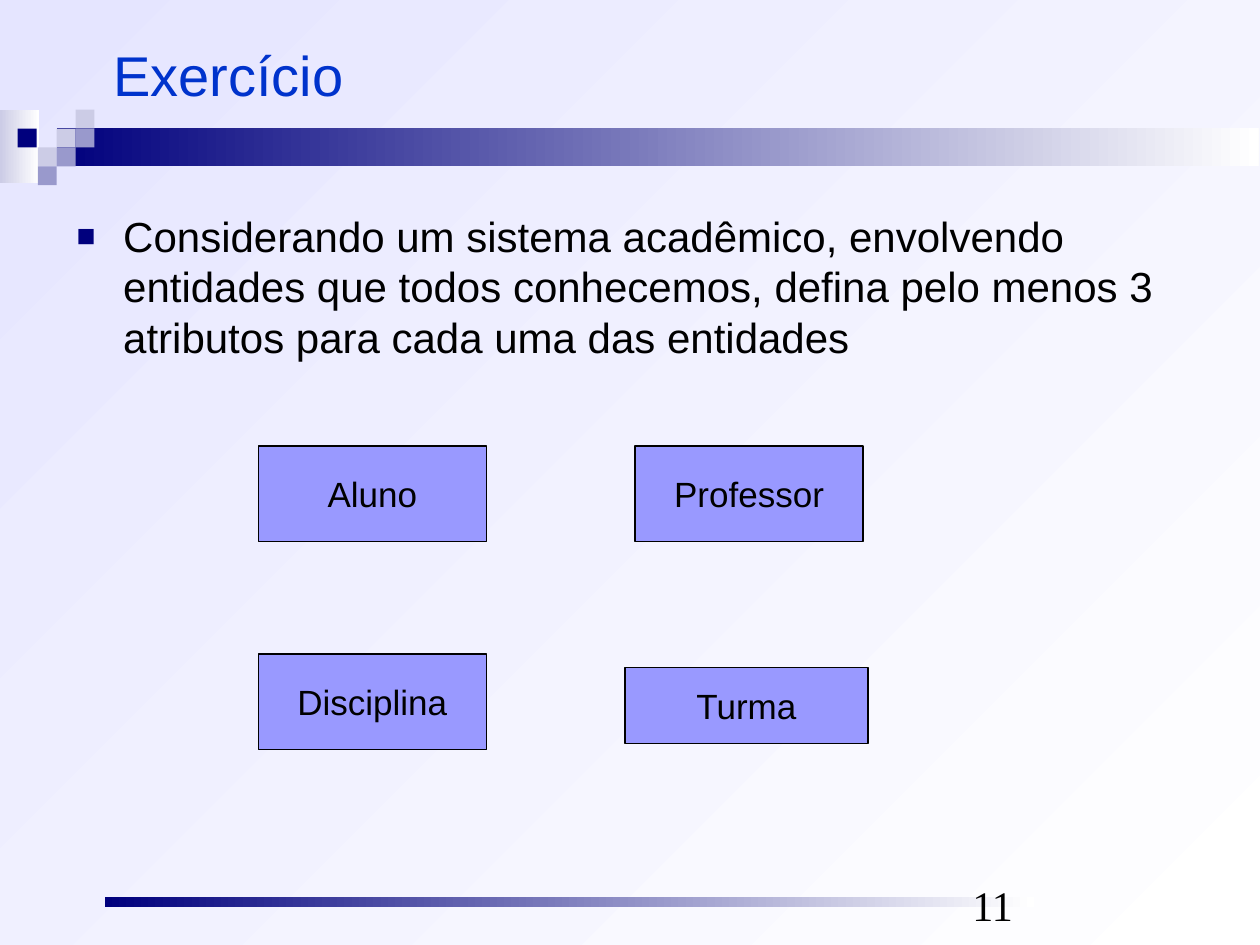
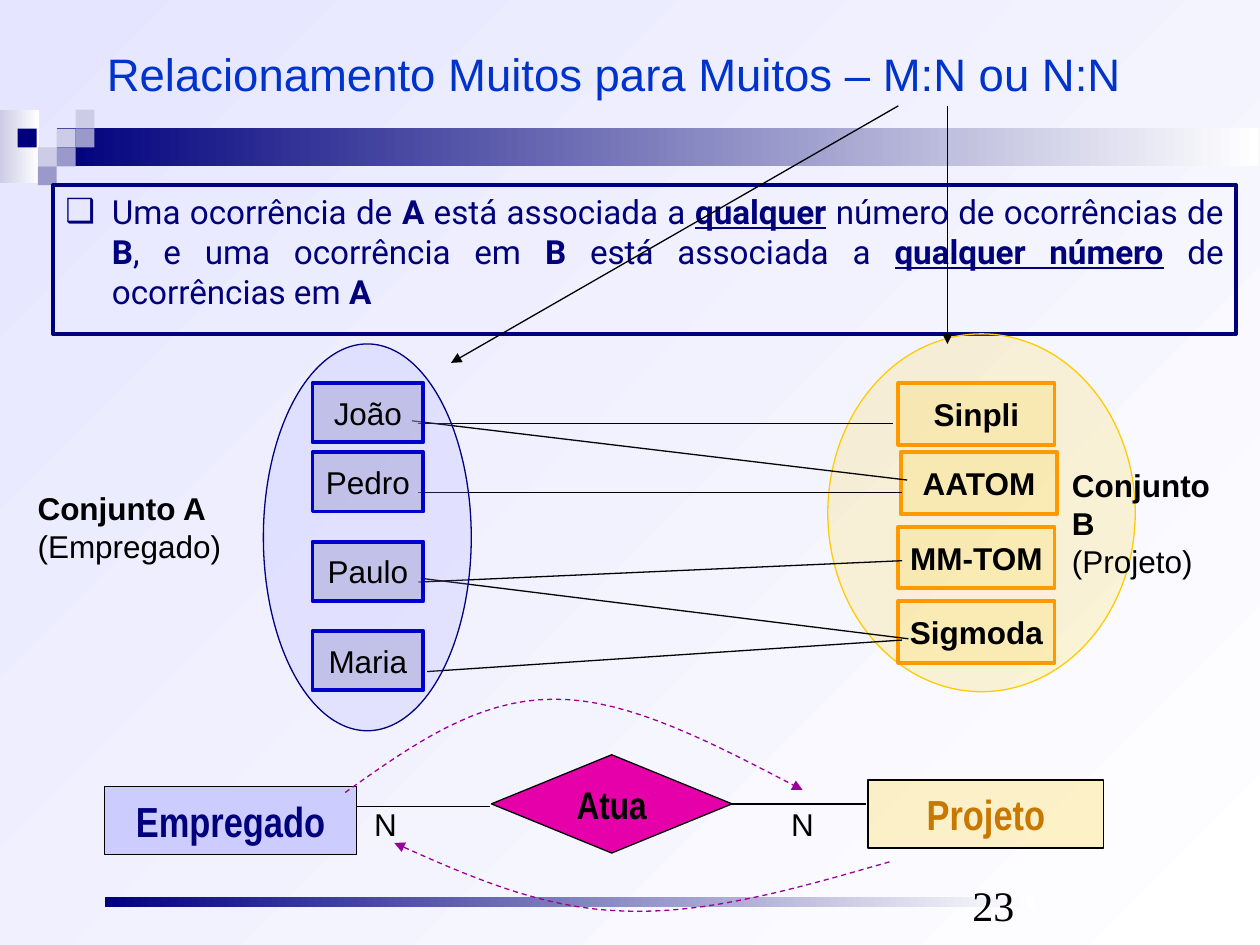
from lxml.etree import SubElement
from pptx import Presentation
from pptx.dml.color import RGBColor
from pptx.enum.dml import MSO_LINE
from pptx.enum.shapes import MSO_CONNECTOR, MSO_SHAPE
from pptx.enum.text import MSO_ANCHOR, PP_ALIGN
from pptx.oxml.ns import qn
from pptx.util import Pt

PX = 9144
C = {
    "black": "000000", "white": "FFFFFF", "sky": "E5E5FF", "navy": "00007D",
    "pale": "CCCCE6", "mid": "9999CC", "title": "0033CC", "entity": "9999FF",
    "blue": "0000CC", "lilac": "CCCCFF", "gold": "FFCC00", "orange": "FF9900",
    "brown": "C87700", "pink": "E600AA", "purple": "990099",
}
RGB = {name: RGBColor.from_string(value) for name, value in C.items()}
RECT, OVAL = MSO_SHAPE.RECTANGLE, MSO_SHAPE.OVAL
DIAMOND = MSO_SHAPE.FLOWCHART_DECISION


def add_box(s, kind, at, paras=(), fill=None, alpha=None, line=None, width=0.75,
            size=18, font="Arial", color="black", align=PP_ALIGN.CENTER,
            anchor=MSO_ANCHOR.MIDDLE, wrap=False):
    at = [v * PX for v in at]
    sp = s.shapes.add_shape(kind, *at) if kind else s.shapes.add_textbox(*at)
    if kind:
        sp.shadow.inherit = False
    if isinstance(fill, tuple):
        sp.fill.gradient()
        sp.fill.gradient_angle = 0
        for stop, name in zip(sp.fill.gradient_stops, fill):
            stop.color.rgb = RGB[name]
    elif fill:
        sp.fill.solid()
        sp.fill.fore_color.rgb = RGB[fill]
        if alpha:
            clr = sp._element.spPr.find(qn("a:solidFill"))[0]
            SubElement(clr, qn("a:alpha"), val=str(alpha * 1000))
    else:
        sp.fill.background()
    if line:
        sp.line.color.rgb = RGB[line]
        sp.line.width = Pt(width)
    else:
        sp.line.fill.background()
    tf = sp.text_frame
    tf.word_wrap = wrap
    tf.vertical_anchor = anchor
    for i, runs in enumerate(paras):
        p = tf.add_paragraph() if i else tf.paragraphs[0]
        p.alignment = align
        for text, style in runs:
            r = p.add_run()
            r.text = text
            r.font.name = font
            r.font.size = Pt(size)
            r.font.color.rgb = RGB[color]
            r.font.bold = "b" in style
            r.font.underline = "u" in style
    return sp


def add_line(s, x1, y1, x2, y2, arrow=False):
    ends = [v * PX for v in (x1, y1, x2, y2)]
    cn = s.shapes.add_connector(MSO_CONNECTOR.STRAIGHT, *ends)
    cn.line.color.rgb = RGB["black"]
    cn.line.width = Pt(0.75)
    if arrow:
        SubElement(cn.line._get_or_add_ln(), qn("a:tailEnd"), type="triangle")
    SubElement(cn._element.spPr, qn("a:effectLst"))


prs = Presentation()
prs.slide_width, prs.slide_height = 1000 * PX, 750 * PX

slides = []
for title, left, size, number in [
    ("Exercício", 80, 32, "11"),
    ("Relacionamento Muitos para Muitos – M:N ou N:N", 75, 26, "23"),
]:
    s = prs.slides.add_slide(prs.slide_layouts[6])
    bg = s.background.fill
    bg.gradient()
    bg.gradient_angle = 315
    for stop, name in zip(bg.gradient_stops, ("sky", "white")):
        stop.color.rgb = RGB[name]
    add_box(s, RECT, (0, 87, 31, 58), fill=("pale", "white"))
    add_box(s, RECT, (45, 102, 954, 30), fill=("navy", "white"))
    for x, y, name in [
        (45, 102, "pale"), (60, 87, "pale"), (60, 102, "mid"), (30, 117, "pale"),
        (14, 102, "navy"), (45, 117, "mid"), (30, 132, "mid"),
    ]:
        add_box(s, RECT, (x, y, 15, 15), fill=name)
    add_box(s, RECT, (83, 712, 738, 8), fill=("navy", "white"))
    add_box(s, None, (left, 13, 900, 91), [[(title, "")]], size=size,
            color="title", align=PP_ALIGN.LEFT, wrap=True)
    add_box(s, None, (762, 693, 233, 50), [[(number, "")]], size=24,
            font="Times New Roman", align=PP_ALIGN.LEFT,
            anchor=MSO_ANCHOR.BOTTOM, wrap=True)
    slides.append(s)
exercise, relation = slides

task = add_box(
    exercise, None, (51, 162, 900, 504),
    [[("Considerando um sistema acadêmico, envolvendo entidades que todos "
       "conhecemos, defina pelo menos 3 atributos para cada uma das entidades", "")]],
    size=24, align=PP_ALIGN.LEFT, anchor=MSO_ANCHOR.TOP, wrap=True)
for name, at in [
    ("Aluno", (205, 354, 181, 76)), ("Disciplina", (205, 519, 181, 76)),
    ("Professor", (504, 354, 181, 76)), ("Turma", (496, 530, 193, 60)),
]:
    add_box(exercise, RECT, at, [[(name, "")]], fill="entity", line="black", size=20)

definition = add_box(
    relation, RECT, (42, 147, 939, 118),
    [[("Uma ocorrência de ", ""), ("A", "b"), (" está associada a ", ""),
      ("qualquer", "bu"), (" número de ocorrências de ", ""), ("B", "b"),
      (", e uma ocorrência em ", ""), ("B", "b"), (" está associada a ", ""),
      ("qualquer número", "bu"), (" de ocorrências em ", ""), ("A", "b")]],
    line="navy", width=2.25, size=19, font="Roboto", color="navy",
    align=PP_ALIGN.JUSTIFY, anchor=MSO_ANCHOR.TOP, wrap=True)

for sp, char, percent in [(task, "■", 75), (definition, "❑", 100)]:
    pPr = sp.text_frame.paragraphs[0]._p.get_or_add_pPr()
    pPr.set("marL", str(37 * PX))
    pPr.set("indent", str(-37 * PX))
    SubElement(SubElement(pPr, qn("a:buClr")), qn("a:srgbClr"), val=C["navy"])
    SubElement(pPr, qn("a:buSzPct"), val=str(percent * 1000))
    SubElement(pPr, qn("a:buFont"), typeface="Arial")
    SubElement(pPr, qn("a:buChar"), char=char)

add_box(relation, OVAL, (657, 265, 244, 284), fill="gold", alpha=16, line="gold")
for name, x, y in [("Sinpli", 713, 304), ("AATOM", 715, 359),
                   ("MM-TOM", 713, 418), ("Sigmoda", 713, 477)]:
    add_box(relation, RECT, (x, y, 124, 49), [[(name, "b")]],
            fill="gold", alpha=16, line="orange", width=2.25)
for ends in [
    (332, 336, 709, 336), (327, 334, 720, 381), (332, 391, 716, 391),
    (332, 462, 716, 445), (334, 459, 721, 507), (339, 533, 716, 508),
    (281, 640, 389, 640), (578, 638, 687, 638),
]:
    add_line(relation, *ends)
for ends in [(713, 84, 358, 288), (752, 84, 752, 273)]:
    add_line(relation, *ends, arrow=True)

add_box(relation, OVAL, (209, 273, 165, 307), fill="entity", alpha=17, line="navy")
for name, y in [("João", 304), ("Pedro", 359), ("Paulo", 430), ("Maria", 501)]:
    add_box(relation, RECT, (248, y, 88, 47), [[(name, "")]],
            fill="mid", alpha=43, line="blue", width=2.25)

for at, paras in [
    ((20, 383, 166, 70), [[("Conjunto A", "b")], [("(Empregado)", "")]]),
    ((841, 365, 154, 70), [[("Conjunto B", "b")], [("(Projeto)", "")]]),
    ((287, 634, 38, 40), [[("N", "")]]),
    ((618, 634, 38, 40), [[("N", "")]]),
]:
    add_box(relation, None, at, paras, align=PP_ALIGN.LEFT, anchor=MSO_ANCHOR.TOP)

for kind, at, name, fill, alpha, color, size in [
    (RECT, (83, 624, 200, 54), "Empregado", "lilac", None, "navy", 24),
    (RECT, (689, 619, 187, 54), "Projeto", "gold", 22, "brown", 24),
    (DIAMOND, (390, 599, 191, 78), "Atua", "pink", None, "black", 22),
]:
    add_box(relation, kind, at, [[(name, "b")]], fill=fill, alpha=alpha,
            line="black", size=size, font="Arial Narrow", color=color)

STEPS = 16
for curve in [
    [(274, 629), (326, 592), (378, 555), (439, 555), (499, 554), (568, 591), (637, 627)],
    [(706, 684), (633, 705), (560, 726), (494, 723), (429, 721), (371, 695), (313, 669)],
]:
    points = []
    for start in (0, 3):
        a, b, c, d = curve[start:start + 4]
        for i in range(1, STEPS + 1):
            t = i / STEPS
            u = 1 - t
            points.append([
                (u**3 * a[k] + 3 * u * u * t * b[k] + 3 * u * t * t * c[k] + t**3 * d[k]) * PX
                for k in (0, 1)])
    fb = relation.shapes.build_freeform(curve[0][0] * PX, curve[0][1] * PX)
    fb.add_line_segments(points, close=False)
    sp = fb.convert_to_shape()
    sp.shadow.inherit = False
    sp.fill.background()
    sp.line.color.rgb = RGB["purple"]
    sp.line.width = Pt(0.75)
    sp.line.dash_style = MSO_LINE.DASH
    SubElement(sp.line._get_or_add_ln(), qn("a:tailEnd"), type="triangle")

prs.save("out.pptx")
